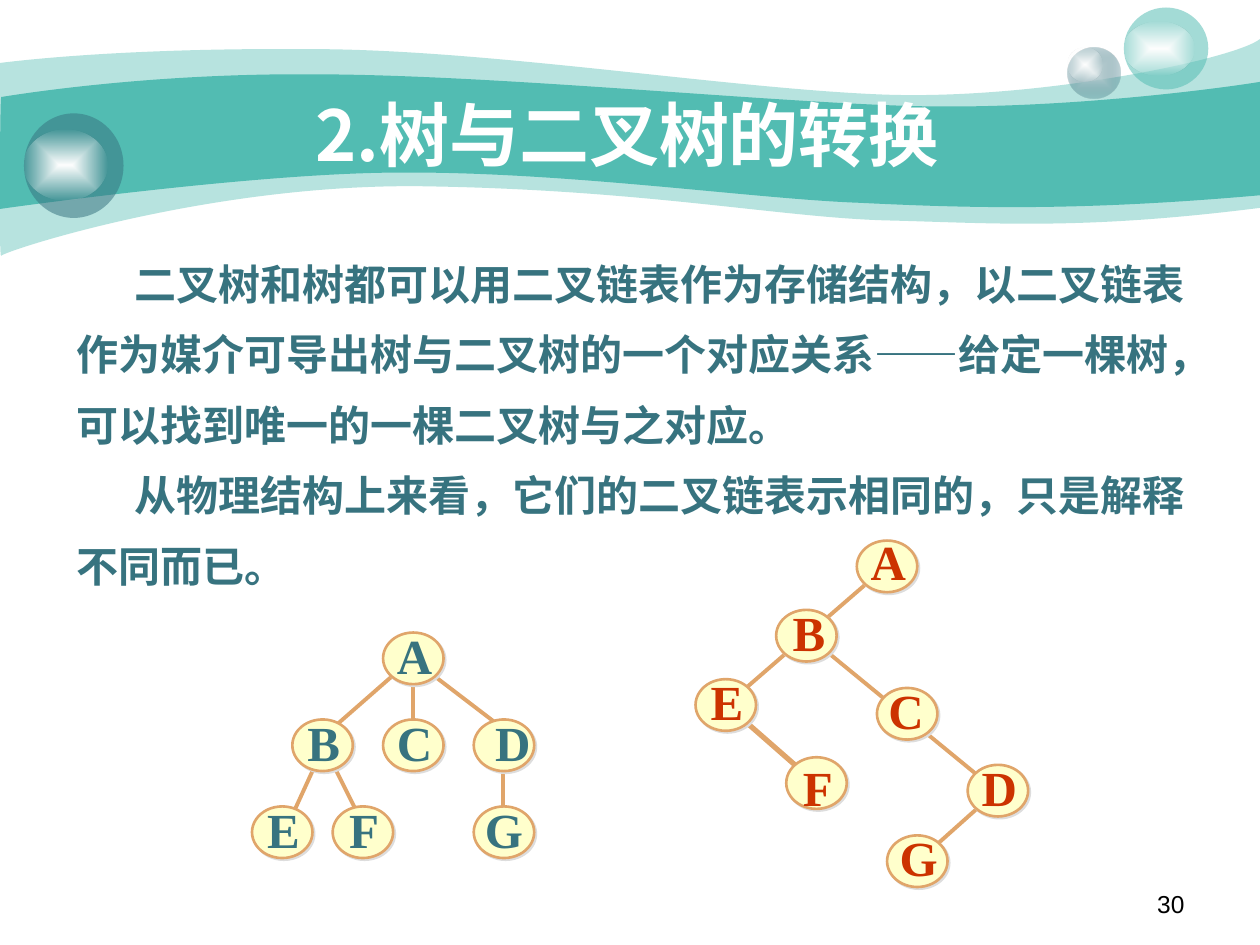
from dataclasses import dataclass
from lxml.etree import SubElement
from pptx import Presentation
from pptx.dml.color import RGBColor
from pptx.enum.shapes import MSO_CONNECTOR, MSO_SHAPE
from pptx.enum.text import MSO_ANCHOR, MSO_AUTO_SIZE, PP_ALIGN
from pptx.oxml.ns import qn
from pptx.util import Inches, Pt


@dataclass(frozen=True)
class Theme:
    """Colours, fonts and type sizes of the slide."""
    teal: str = "52BCB2"
    slate: str = "37737F"
    mist: str = "CCDBDE"
    white: str = "FFFFFF"
    black: str = "000000"
    cream: str = "FFFFCC"
    tan: str = "E0A56A"
    red: str = "CC3300"
    shade: str = "DDDDDD"
    sans: str = "Arial"
    serif: str = "Times New Roman"
    han: str = "Noto Sans CJK SC"
    head: int = 40
    node: int = 28
    text: int = 24
    foot: int = 14


LOOK = Theme()

OUTER = ((0, 0.5), [
    (0.24, 0.47, 1.07, 0.38, 2.47, 0.39), (3.86, 0.39, 5.75, 0.7, 6.99, 0.75),
    (8.22, 0.8, 9.8, 0.47, 10, 0.31), (10, 1.65),
    (8.58, 1.83, 7.87, 1.77, 7.05, 1.75), (6.22, 1.73, 5.15, 1.51, 3.43, 1.48),
    (1.72, 1.44, 0.04, 1.99, 0.01, 2.03), (-0.01, 2.08, 0, 0.75, 0, 0.5)])
INNER = ((0.01, 0.77), [
    (0.02, 0.77, 1.1, 0.58, 2.48, 0.59), (3.86, 0.59, 5.95, 0.8, 7.18, 0.84),
    (8.41, 0.88, 9.76, 0.69, 10, 0.65), (10, 1.55),
    (8.53, 1.68, 7.65, 1.65, 6.82, 1.61), (5.99, 1.58, 4.47, 1.36, 3.17, 1.37),
    (2.03, 1.37, -0.02, 1.66, -0.01, 1.66), (0, 1.66, 0, 0.77, 0.01, 0.77)])
GLOSS = [(LOOK.white, 100), (LOOK.white, 0)]
BALLS = [
    ((8.47, 0.38, 0.42, 0.4), [(LOOK.mist, 100), (LOOK.slate, 31)], (8.47, 0.38, 0.28, 0.27)),
    ((8.92, 0.06, 0.67, 0.65), [(LOOK.teal, 53)], (8.92, 0.17, 0.56, 0.43)),
    ((0.19, 0.9, 0.79, 0.83), [(LOOK.slate, 53)], (0.19, 1.03, 0.66, 0.56))]

TREE = {
    "nodes": {"A": (1.04, 0.1), "B": (0.32, 0.79), "C": (1.04, 0.79), "D": (1.76, 0.79),
              "E": (0, 1.48), "F": (0.64, 1.48), "G": (1.76, 1.48)},
    "nudge": {"D": (0.06, 0), "G": (-0.01, 0)},
    "links": [(1.99, 1.14, 1.99, 1.55, 2.25), (0.64, 1.14, 0.88, 1.62, 2.25),
              (0.48, 1.2, 0.32, 1.55, 2.25), (1.44, 0.44, 1.99, 0.86, 2.25),
              (1.28, 0.51, 1.28, 0.86, 2.25), (1.12, 0.44, 0.64, 0.86, 2.25)]}
BINARY = {
    "nodes": {"A": (1.28, 0.12), "B": (0.64, 0.67), "C": (1.44, 1.29), "D": (2.16, 1.9),
              "E": (0, 1.22), "F": (0.72, 1.84), "G": (1.52, 2.46)},
    "nudge": {"A": (0, -0.01), "B": (0.01, 0), "C": (-0.02, 0), "F": (0, 0.06)},
    "links": [(0.32, 1.49, 0.8, 1.91, 3), (2.31, 2.18, 1.84, 2.6, 2.25),
              (1.44, 0.39, 0.32, 1.36, 2.25), (1.04, 1, 2.32, 2.05, 2.25)]}
WIDE = {"A": 0.48, "B": 0.46, "C": 0.48, "D": 0.48, "E": 0.46, "F": 0.44, "G": 0.5}

BODY = [
    "二叉树和树都可以用二叉链表作为存储结构，以二叉链表作为媒介可导出树与二叉树的一个对应关系——给定一棵树，可以找到唯一的一棵二叉树与之对应。",
    "从物理结构上来看，它们的二叉链表示相同的，只是解释不同而已。"]


def rgb(code):
    """Turn a hex code into a colour."""
    return RGBColor.from_string(code)


def frame(box):
    """Turn a box in inches into lengths."""
    return [Inches(side) for side in box]


def style(para, size, tint, font, bold=True, align=PP_ALIGN.LEFT):
    """Format a paragraph and its runs."""
    para.alignment = align
    for run in para.runs:
        run.font.size, run.font.bold, run.font.name = Pt(size), bold, font
        run.font.color.rgb = rgb(tint)
        SubElement(run.font._element, qn("a:ea"), typeface=LOOK.han)


def tone(host, stop):
    """Add a colour with its opacity to an XML parent."""
    code, alpha = stop
    part = SubElement(host, qn("a:srgbClr"), val=code)
    if alpha < 100:
        SubElement(part, qn("a:alpha"), val=str(alpha * 1000))


def paint(shape, stops):
    """Fill a shape with one colour or a rectangular gradient, with no outline."""
    shape.shadow.inherit = False
    shape.line.fill.background()
    if len(stops) == 1:
        shape.fill.solid()
        fill = shape._element.spPr.find(qn("a:solidFill"))
        fill.clear()
        tone(fill, stops[0])
        return
    shape.fill.gradient()
    fill = shape._element.spPr.find(qn("a:gradFill"))
    fill.clear()
    marks = SubElement(fill, qn("a:gsLst"))
    for spot, stop in zip((0, 100000), stops):
        tone(SubElement(marks, qn("a:gs"), pos=str(spot)), stop)
    way = SubElement(fill, qn("a:path"), path="rect")
    SubElement(way, qn("a:fillToRect"), l="50000", t="50000", r="50000", b="50000")


def wave(slide, left, top, start, parts):
    """Build an outline of lines and cubic curves."""
    runs = [[(Inches(left + x), Inches(top + y)) for x, y in zip(part[::2], part[1::2])]
            for part in parts]
    pen = slide.shapes.build_freeform(Inches(left + start[0]), Inches(top + start[1]))
    pen.add_line_segments([run[-1] for run in runs])
    shape = pen.convert_to_shape()
    for edge, run in zip(list(shape._element.iter(qn("a:lnTo"))), runs):
        if len(run) == 3:
            edge.clear()
            edge.tag = qn("a:cubicBezTo")
            for x, y in run:
                SubElement(edge, qn("a:pt"), x=str(x - shape.left), y=str(y - shape.top))
    return shape


def banner(slide, box):
    """Draw the waves and glass balls at the top."""
    left, top = box[:2]
    for (start, parts), alpha in ((OUTER, 41), (INNER, 100)):
        paint(wave(slide, left, top, start, parts), [(LOOK.teal, alpha)])
    for ball, stops, shine in BALLS:
        group = slide.shapes.add_group_shape()
        for (x, y, wide, high), fill in ((ball, stops), (shine, GLOSS)):
            spot = frame((left + x, top + y, wide, high))
            paint(group.shapes.add_shape(MSO_SHAPE.OVAL, *spot), fill)


def place(slide, shape, box):
    """Move a placeholder to its box, in front of the banner."""
    shape.left, shape.top, shape.width, shape.height = frame(box)
    slide.shapes._spTree.append(shape._element)
    shape.text_frame.auto_size = MSO_AUTO_SIZE.NONE
    return shape.text_frame


def title(slide, box):
    """Set the heading."""
    text = place(slide, slide.shapes.title, box)
    text.margin_left = text.margin_right = text.margin_top = text.margin_bottom = 0
    text.vertical_anchor = MSO_ANCHOR.MIDDLE
    text.text = "2.树与二叉树的转换 "
    style(text.paragraphs[0], LOOK.head, LOOK.white, LOOK.han, align=PP_ALIGN.CENTER)


def body(slide, box):
    """Set the two indented paragraphs."""
    text = place(slide, slide.placeholders[1], box)
    text.text = "\n".join(BODY)
    for para in text.paragraphs:
        style(para, LOOK.text, LOOK.slate, LOOK.serif)
        para.space_before, para.line_spacing = Pt(0), Pt(40.3)
        props = para._p.get_or_add_pPr()
        props.set("marL", "0")
        props.set("indent", str(Inches(0.46)))
        SubElement(props, qn("a:buNone"))


def label(shapes, box, words, *look, **more):
    """Add a single line of text."""
    text = shapes.add_textbox(*frame(box)).text_frame
    text.text = words
    text.vertical_anchor = MSO_ANCHOR.MIDDLE
    style(text.paragraphs[0], *look, **more)


def graph(slide, box, data, tint):
    """Draw a tree of linked, lettered nodes."""
    left, top = box[:2]
    shapes = slide.shapes.add_group_shape().shapes
    for x, y, end, foot, width in data["links"]:
        ends = frame((left + x, top + y, left + end, top + foot))
        link = shapes.add_connector(MSO_CONNECTOR.STRAIGHT, *ends)
        link.line.color.rgb, link.line.width = rgb(LOOK.tan), Pt(width)
        SubElement(link._element.spPr, qn("a:effectLst"))
    for name, (x, y) in data["nodes"].items():
        node = shapes.add_shape(MSO_SHAPE.OVAL, *frame((left + x, top + y, 0.48, 0.41)))
        node.fill.solid()
        node.fill.fore_color.rgb = rgb(LOOK.cream)
        node.line.color.rgb, node.line.width = rgb(LOOK.tan), Pt(1.5)
        node.shadow.inherit = False
        glow = SubElement(node._element.spPr.find(qn("a:effectLst")), qn("a:outerShdw"),
                          dist=str(Pt(1.4)), dir="2700000", algn="ctr", rotWithShape="0")
        tone(glow, (LOOK.shade, 100))
        right, down = data["nudge"].get(name, (0, 0))
        wide = WIDE[name]
        spot = (left + x + 0.25 - wide / 2 + right, top + y - 0.11 + down, wide, 0.57)
        label(shapes, spot, name, LOOK.node, tint, LOOK.serif, align=PP_ALIGN.CENTER)


def main():
    """Build the slide and save it."""
    deck = Presentation()
    deck.slide_width, deck.slide_height = Inches(10), Inches(7.5)
    slide = deck.slides.add_slide(deck.slide_layouts[1])
    banner(slide, (0, 0, 10, 2.08))
    label(slide.shapes, (7.17, 7, 2.33, 0.35), "30", LOOK.foot, LOOK.black, LOOK.sans,
          bold=False, align=PP_ALIGN.RIGHT)
    title(slide, (1, 0.75, 8.08, 0.62))
    body(slide, (0.51, 1.84, 9.29, 2.9))
    graph(slide, (2, 4.92, 2.24, 1.94), TREE, LOOK.slate)
    graph(slide, (5.52, 4.17, 2.64, 2.92), BINARY, LOOK.red)
    deck.save("out.pptx")


if __name__ == "__main__":
    main()
